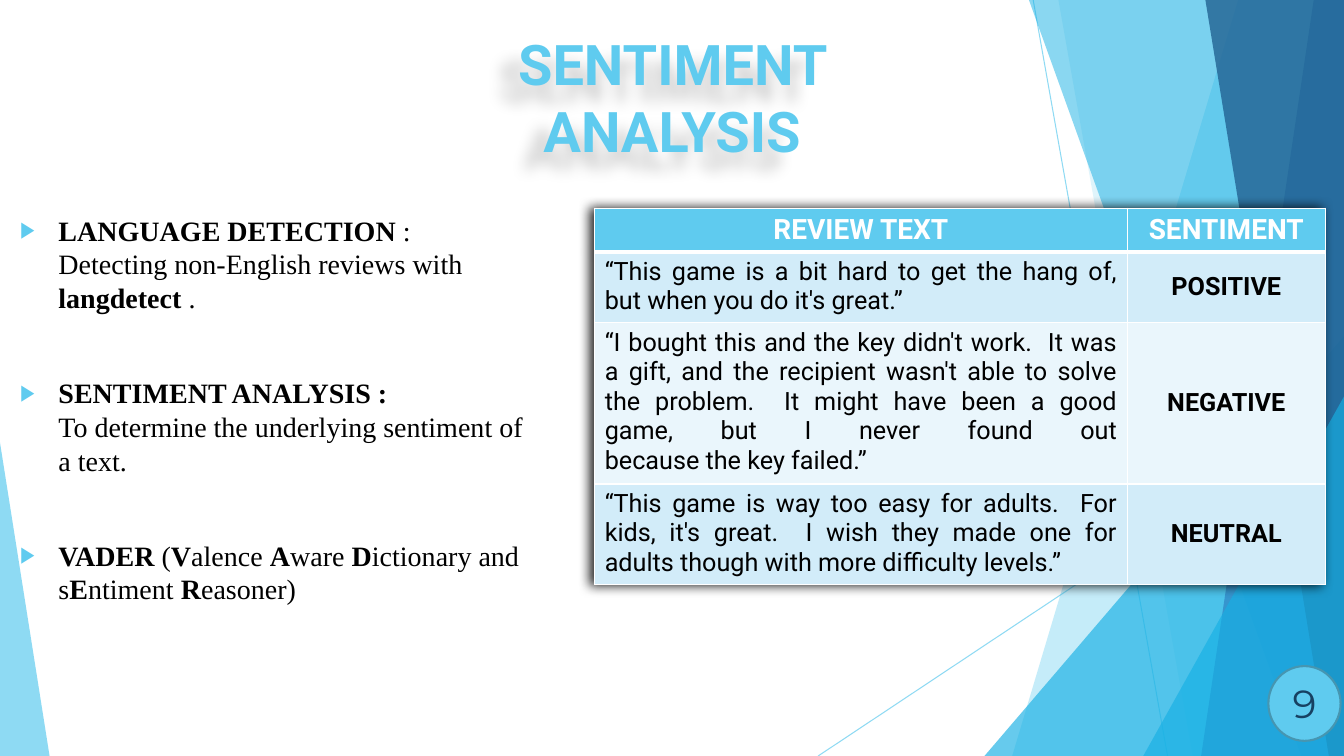
from dataclasses import dataclass
from lxml import etree
from pptx import Presentation
from pptx import util as u
from pptx.dml.color import RGBColor
from pptx.enum import shapes, text
from pptx.oxml import parse_xml
from pptx.oxml.ns import nsdecls, qn


@dataclass(frozen=True)
class Theme:
    sky: str = "5FCBEF"
    cyan: str = "17B0E4"
    blue: str = "2E83C3"
    navy: str = "226292"
    rim: str = "4696B1"
    numeral: str = "174162"
    ink: str = "000000"
    white: str = "FFFFFF"
    band: str = "D2ECF9"
    pale: str = "EAF6FC"
    title_size: int = 40
    number_size: int = 28
    body_size: int = 20
    cell_size: int = 18
    sans: str = "Roboto"
    serif: str = "Times New Roman"
    numeral_font: str = "Montserrat"


THEME = Theme()
WIDTH, HEIGHT = u.Inches(40 / 3), u.Inches(7.5)
COLUMNS, ROWS = 160, 90
ALIGN = text.PP_ALIGN


def unbroken(words):
    return words.replace(" ", chr(160))


POINTS = [
    [("LANGUAGE DETECTION ", True), (":", False), None,
     ("Detecting non-English reviews with ", False), ("langdetect", True), (" .", False)],
    [("SENTIMENT ANALYSIS :", True), None,
     ("To determine the underlying sentiment of a text.", False)],
    [("VADER", True), (" (", False), ("V", True), ("alence ", False), ("A", True),
     ("ware ", False), ("D", True), ("ictionary and s", False), ("E", True),
     ("ntiment ", False), ("R", True), ("easoner)", False)],
]
REVIEWS = [
    ("REVIEW TEXT", "SENTIMENT"),
    ("“This game is a bit hard to get the hang of, but when you "
     + unbroken("do it's great.”"), "POSITIVE"),
    ("“I bought this and the key didn't work.  It was a gift, and the recipient wasn't able "
     "to solve the problem.  It might have been a good game, but I never found out "
     + unbroken("because the key failed.”"), "NEGATIVE"),
    ("“This game is way too easy for adults.  For kids, it's great.  I wish they made one "
     "for adults though with more " + unbroken("difficulty levels.”"), "NEUTRAL"),
]


def col(n):
    return round(WIDTH * n / COLUMNS)


def row(n):
    return round(HEIGHT * n / ROWS)


def box(left, top, width, height):
    return col(left), row(top), col(width), row(height)


def place(shape, *area):
    shape.left, shape.top, shape.width, shape.height = box(*area)


def write(paragraph, words, size, color=THEME.ink, font=THEME.sans, bold=False, align=None):
    run = paragraph.add_run()
    run.text = words
    run.font.size, run.font.name, run.font.bold = u.Pt(size), font, bold
    run.font.color.rgb = RGBColor.from_string(color)
    if align is not None:
        paragraph.alignment = align
    return run


def set_alpha(element, percent):
    for color in element.iter(qn("a:srgbClr")):
        etree.SubElement(color, qn("a:alpha")).set("val", str(percent * 1000))


def shadow(blur, distance, degrees, alpha):
    return parse_xml(
        f'<a:effectLst {nsdecls("a")}><a:outerShdw blurRad="{u.Pt(blur)}" dist="{u.Pt(distance)}" '
        f'dir="{degrees * 60000}" algn="ctr" rotWithShape="0"><a:srgbClr val="{THEME.ink}">'
        f'<a:alpha val="{alpha * 1000}"/></a:srgbClr></a:outerShdw></a:effectLst>')


def outline(tag, color, points):
    return parse_xml(
        f'<a:{tag} {nsdecls("a")} w="{u.Pt(points)}"><a:solidFill><a:srgbClr val="{color}"/>'
        f'</a:solidFill></a:{tag}>')


def paint(shape, color, alpha):
    shape.shadow.inherit = False
    shape.line.fill.background()
    shape.fill.solid()
    shape.fill.fore_color.rgb = RGBColor.from_string(color)
    set_alpha(shape.element.spPr, alpha)


def add_ray(slide, x1, y1, x2, y2):
    ray = slide.shapes.add_connector(
        shapes.MSO_CONNECTOR.STRAIGHT, col(x1), row(y1), col(x2), row(y2))
    ray.line.width = u.Pt(0.75)
    ray.line.color.rgb = RGBColor.from_string(THEME.sky)
    properties = ray.element.spPr
    set_alpha(properties, 70)
    etree.SubElement(properties, qn("a:effectLst"))


def add_facet(slide, color, alpha, top_x, bottom_x):
    builder = slide.shapes.build_freeform(col(top_x), 0)
    builder.add_line_segments([(WIDTH, 0), (WIDTH, HEIGHT), (col(bottom_x), HEIGHT)], close=True)
    paint(builder.convert_to_shape(), color, alpha)


def add_wedge(slide, color, alpha, left, top, width, apex):
    wedge = slide.shapes.add_shape(
        shapes.MSO_SHAPE.ISOSCELES_TRIANGLE, *box(left, top, width, ROWS - top))
    wedge.adjustments[0] = apex
    paint(wedge, color, alpha)


def add_backdrop(slide):
    add_ray(slide, 123, 0, 139, 90)
    add_ray(slide, 160, 48.4, 97.4, 90)
    add_facet(slide, THEME.sky, 36, 147.4, 120.5)
    add_facet(slide, THEME.sky, 20, 126, 142)
    add_wedge(slide, THEME.cyan, 66, 117.2, 40, 42.8, 1)
    add_facet(slide, THEME.cyan, 50, 122.5, 154.9)
    add_facet(slide, THEME.blue, 70, 156.4, 143)
    add_facet(slide, THEME.navy, 80, 143.5, 158.2)
    add_wedge(slide, THEME.cyan, 66, 136.1, 47.2, 23.9, 1)
    add_wedge(slide, THEME.sky, 70, 0, 52.7, 5.9, 0)


def prepare(placeholder, *area):
    placeholder.element.getparent().append(placeholder.element)
    place(placeholder, *area)
    frame = placeholder.text_frame
    frame.auto_size, frame.word_wrap = text.MSO_AUTO_SIZE.NONE, True
    frame.vertical_anchor = text.MSO_ANCHOR.TOP
    return frame


def fill_title(title, words):
    frame = prepare(title, 44.8, 2.9, 70.4, 11)
    run = write(frame.paragraphs[0], words, THEME.title_size, THEME.sky, bold=True,
                align=ALIGN.CENTER)
    run._r.get_or_add_rPr().insert(0, outline("ln", THEME.blue, 1.5))
    title.element.spPr.append(shadow(11, 18, 140, 20))


def set_bullet(paragraph):
    properties = paragraph._p.get_or_add_pPr()
    indent = u.Inches(0.38)
    properties.set("marL", str(indent))
    properties.set("indent", str(-indent))
    color = etree.SubElement(properties, qn("a:buClr"))
    etree.SubElement(color, qn("a:srgbClr")).set("val", THEME.sky)
    etree.SubElement(properties, qn("a:buSzPct")).set("val", "80000")
    etree.SubElement(properties, qn("a:buFont")).set("typeface", THEME.serif)
    etree.SubElement(properties, qn("a:buChar")).set("char", "▶")


def fill_points(body):
    frame = prepare(body, 1.2, 24.8, 63.7, 48.1)
    for index, pieces in enumerate(POINTS):
        point = frame.add_paragraph() if index else frame.paragraphs[0]
        point.space_before = u.Pt(44 if index else 10)
        set_bullet(point)
        for piece in pieces:
            if piece is None:
                point.add_line_break()
            else:
                write(point, piece[0], THEME.body_size, font=THEME.serif, bold=piece[1])


def add_page_number(slide, number):
    badge = slide.shapes.add_shape(shapes.MSO_SHAPE.OVAL, *box(151, 79.3, 8.6, 8.9))
    paint(badge, THEME.sky, 100)
    badge.line.color.rgb = RGBColor.from_string(THEME.rim)
    badge.line.width = u.Pt(1.5)
    frame = slide.shapes.add_textbox(*box(150.8, 80.6, 9, 6.1)).text_frame
    frame.word_wrap, frame.vertical_anchor = True, text.MSO_ANCHOR.MIDDLE
    write(frame.paragraphs[0], number, THEME.number_size, THEME.numeral,
          THEME.numeral_font, align=ALIGN.CENTER)


def fill_cell(cell, words, is_header, is_review, fill, top_rule):
    properties = cell._tc.get_or_add_tcPr()
    rules = {"lnL": 1, "lnR": 1, "lnT": top_rule, "lnB": 3 if is_header else 1}
    for tag, points in rules.items():
        properties.append(outline(tag, THEME.white, points))
    cell.fill.solid()
    cell.fill.fore_color.rgb = RGBColor.from_string(fill)
    cell.vertical_anchor = text.MSO_ANCHOR.TOP if is_header or is_review else text.MSO_ANCHOR.MIDDLE
    write(cell.text_frame.paragraphs[0], words,
          THEME.body_size if is_header else THEME.cell_size,
          THEME.white if is_header else THEME.ink, bold=is_header or not is_review,
          align=ALIGN.JUSTIFY if is_review and not is_header else ALIGN.CENTER)


def add_reviews(slide):
    widths, row_height = (63.4, 23.6), 4.9
    fills = (THEME.sky, THEME.band, THEME.pale, THEME.band)
    reviews = slide.shapes.add_table(
        len(REVIEWS), len(widths), *box(70.8, 24.8, sum(widths), row_height * len(REVIEWS)))
    table = reviews.table
    table._tbl.tblPr.insert(0, shadow(8, 3, 180, 85))
    for column, width in zip(table.columns, widths):
        column.width = col(width)
    for r, line in enumerate(REVIEWS):
        table.rows[r].height = row(row_height)
        for c, words in enumerate(line):
            fill_cell(table.cell(r, c), words, r == 0, c == 0, fills[r], 3 if r == 1 else 1)
    reviews.height = row(44.8)


def main():
    deck = Presentation()
    deck.slide_width, deck.slide_height = WIDTH, HEIGHT
    slide = deck.slides.add_slide(deck.slide_layouts[1])
    add_backdrop(slide)
    fill_title(slide.shapes.title, "SENTIMENT ANALYSIS")
    fill_points(slide.placeholders[1])
    add_page_number(slide, "9")
    add_reviews(slide)
    deck.save("out.pptx")


if __name__ == "__main__":
    main()
